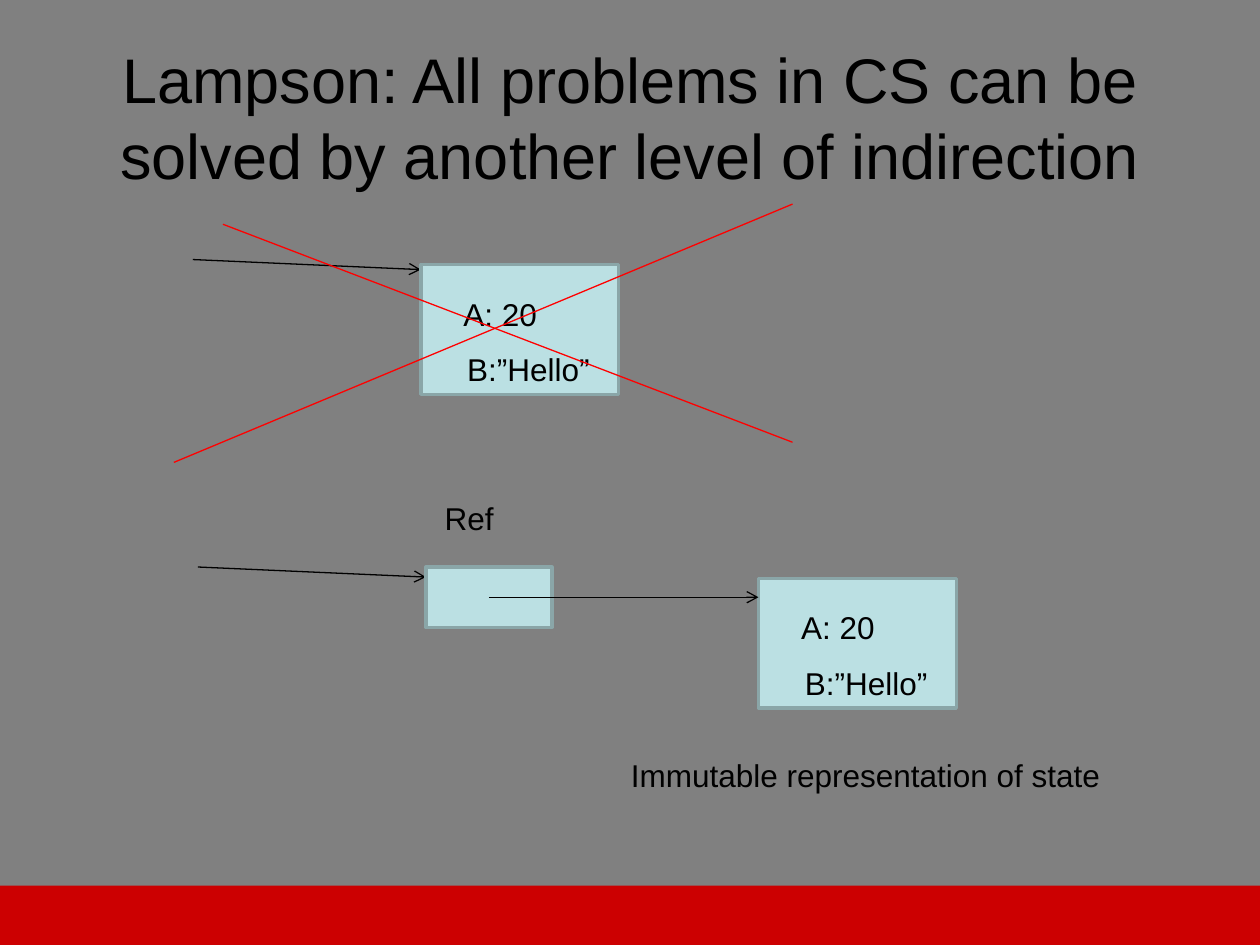
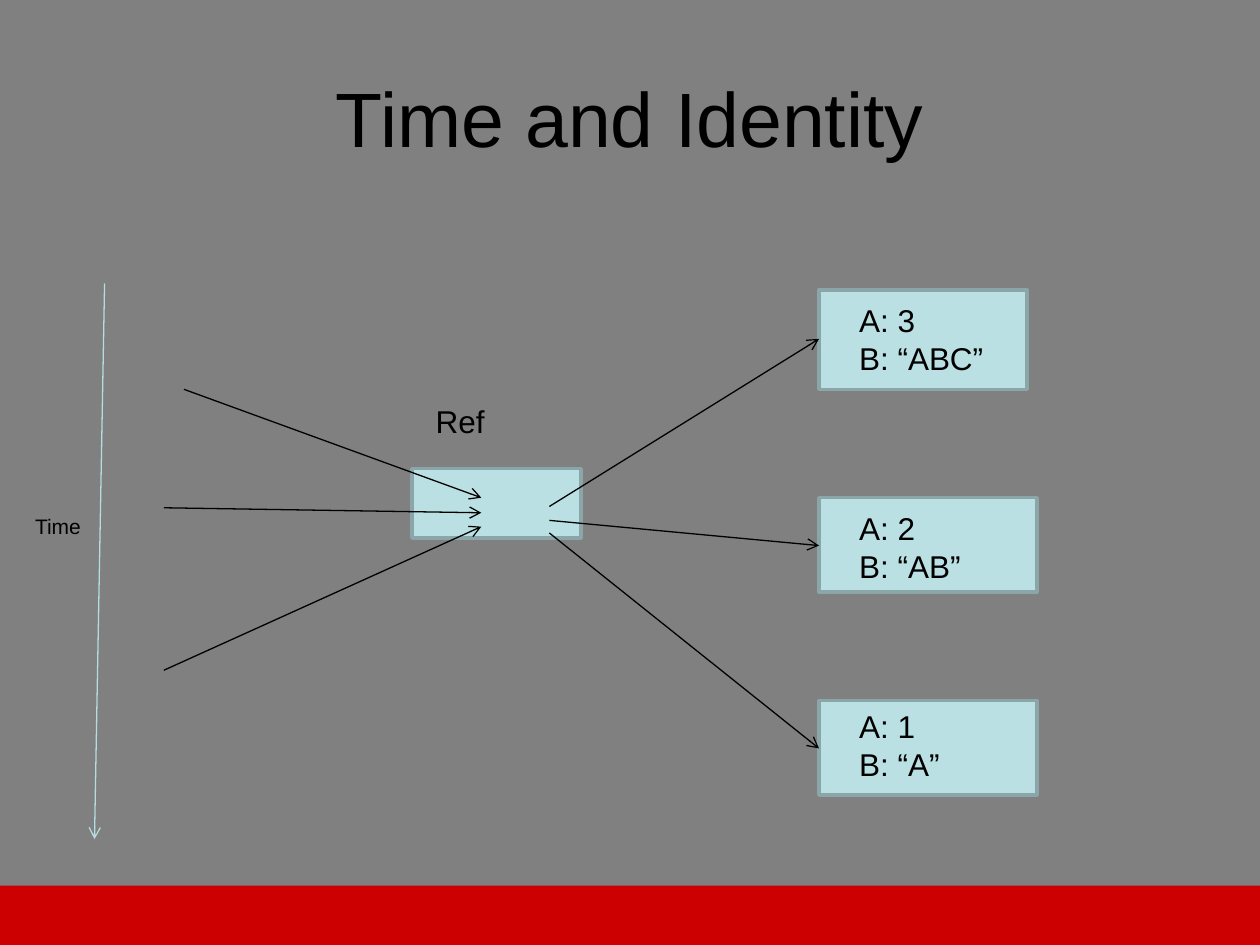
from lxml import etree
from pptx import Presentation
from pptx.dml.color import RGBColor
from pptx.enum.shapes import MSO_CONNECTOR, MSO_SHAPE
from pptx.enum.text import MSO_ANCHOR, MSO_AUTO_SIZE, PP_ALIGN
from pptx.oxml.ns import qn
from pptx.util import Inches, Pt

STRAIGHT = MSO_CONNECTOR.STRAIGHT
RECTANGLE = MSO_SHAPE.RECTANGLE
MIDDLE = MSO_ANCHOR.MIDDLE
CENTER = PP_ALIGN.CENTER
GROW = MSO_AUTO_SIZE.SHAPE_TO_FIT_TEXT
NO_FIT = MSO_AUTO_SIZE.NONE
TITLE_ONLY = 5

FONT = "Arial"
BACKGROUND = "808080"
INK = "000000"
BOX_FILL = "BBE0E3"
BOX_EDGE = "8AA6A8"
TIME_AXIS = "B6DCDF"
CROSS = "FF0000"
BAND = "CC0001"


def color(value):
    return RGBColor.from_string(value)


def inches(*values):
    return [Inches(value) for value in values]


def add_span(para, text, size):
    span = para.add_run()
    span.text = text
    span.font.name = FONT
    span.font.size = Pt(size)
    span.font.color.rgb = color(INK)


def add_page(deck, title, size):
    page = deck.slides.add_slide(deck.slide_layouts[TITLE_ONLY])
    page.background.fill.solid()
    page.background.fill.fore_color.rgb = color(BACKGROUND)
    heading = page.shapes.title
    heading.left, heading.top, heading.width, heading.height = inches(0.5, 0.3, 9, 1.25)
    frame = heading.text_frame
    frame.word_wrap = True
    frame.auto_size = NO_FIT
    frame.vertical_anchor = MIDDLE
    para = frame.paragraphs[0]
    para.alignment = CENTER
    add_span(para, title, size)
    add_box(page, 0, 7.03, 10, 0.47, BAND, None)
    return page


def add_box(page, left, top, width, height, fill=BOX_FILL, edge=BOX_EDGE):
    box = page.shapes.add_shape(RECTANGLE, *inches(left, top, width, height))
    box.shadow.inherit = False
    box.fill.solid()
    box.fill.fore_color.rgb = color(fill)
    if edge:
        box.line.color.rgb = color(edge)
        box.line.width = Pt(2)
    else:
        box.line.fill.background()


def add_label(page, left, top, width, height, lines, size=18):
    label = page.shapes.add_textbox(*inches(left, top, width, height))
    frame = label.text_frame
    frame.word_wrap = False
    frame.auto_size = GROW
    for index, text in enumerate(lines):
        para = frame.add_paragraph() if index else frame.paragraphs[0]
        add_span(para, text, size)


def add_line(page, start, end, stroke=INK, arrow=True):
    line = page.shapes.add_connector(STRAIGHT, *inches(*start, *end))
    line.line.color.rgb = color(stroke)
    line.line.width = Pt(0.75)
    properties = line._element.spPr
    if arrow:
        etree.SubElement(properties.find(qn("a:ln")), qn("a:tailEnd"), type="arrow")
    etree.SubElement(properties, qn("a:effectLst"))


def add_record(page, left, top):
    add_box(page, left, top, 1.57, 1.03)
    add_label(page, left + 0.24, top + 0.19, 0.79, 0.4, ["A: 20"])
    add_label(page, left + 0.27, top + 0.63, 1.19, 0.4, ["B:”Hello”"])


def build_indirection(deck):
    page = add_page(
        deck, "Lampson: All problems in CS can be solved by another level of indirection", 36)
    add_line(page, (1.53, 2.06), (3.34, 2.14))
    add_record(page, 3.34, 2.1)
    add_line(page, (1.57, 4.5), (3.38, 4.58))
    add_record(page, 6.02, 4.59)
    add_box(page, 3.38, 4.5, 1, 0.48)
    add_line(page, (3.88, 4.74), (6.02, 4.74))
    add_label(page, 3.43, 3.91, 0.59, 0.4, ["Ref"])
    add_label(page, 4.91, 5.95, 3.96, 0.4, ["Immutable representation of state"])
    add_line(page, (1.77, 1.78), (6.29, 3.51), CROSS, arrow=False)
    add_line(page, (6.29, 1.62), (1.38, 3.67), CROSS, arrow=False)


def build_identity(deck):
    page = add_page(deck, "Time and Identity", 44)
    add_box(page, 3.27, 3.72, 1.34, 0.55)
    add_label(page, 3.36, 3.14, 0.59, 0.4, ["Ref"])
    add_line(page, (0.83, 2.25), (0.75, 6.66), TIME_AXIS)
    add_label(page, 0.18, 4.03, 0.57, 0.3, ["Time"], 12)

    states = [
        (2.3, 1.65, 0.79, 2.34, 1.2, ["A: 3", "B: “ABC”"]),
        (3.95, 1.73, 0.75, 3.99, 1.02, ["A: 2", "B: “AB”"]),
        (5.56, 1.73, 0.75, 5.56, 0.85, ["A: 1", "B: “A”"]),
    ]
    for top, width, height, text_top, text_width, lines in states:
        add_box(page, 6.5, top, width, height)
        add_label(page, 6.72, text_top, text_width, 0.71, lines)

    for left, top, target in [(1.46, 3.09, 3.95), (1.3, 4.03, 4.07), (1.3, 5.32, 4.18)]:
        add_line(page, (left, top), (3.82, target))
    for top, target in [(4.02, 2.69), (4.13, 4.33), (4.23, 5.94)]:
        add_line(page, (4.36, top), (6.5, target))


def main():
    deck = Presentation()
    deck.slide_width, deck.slide_height = inches(10, 7.5)
    build_indirection(deck)
    build_identity(deck)
    deck.save("out.pptx")


main()
